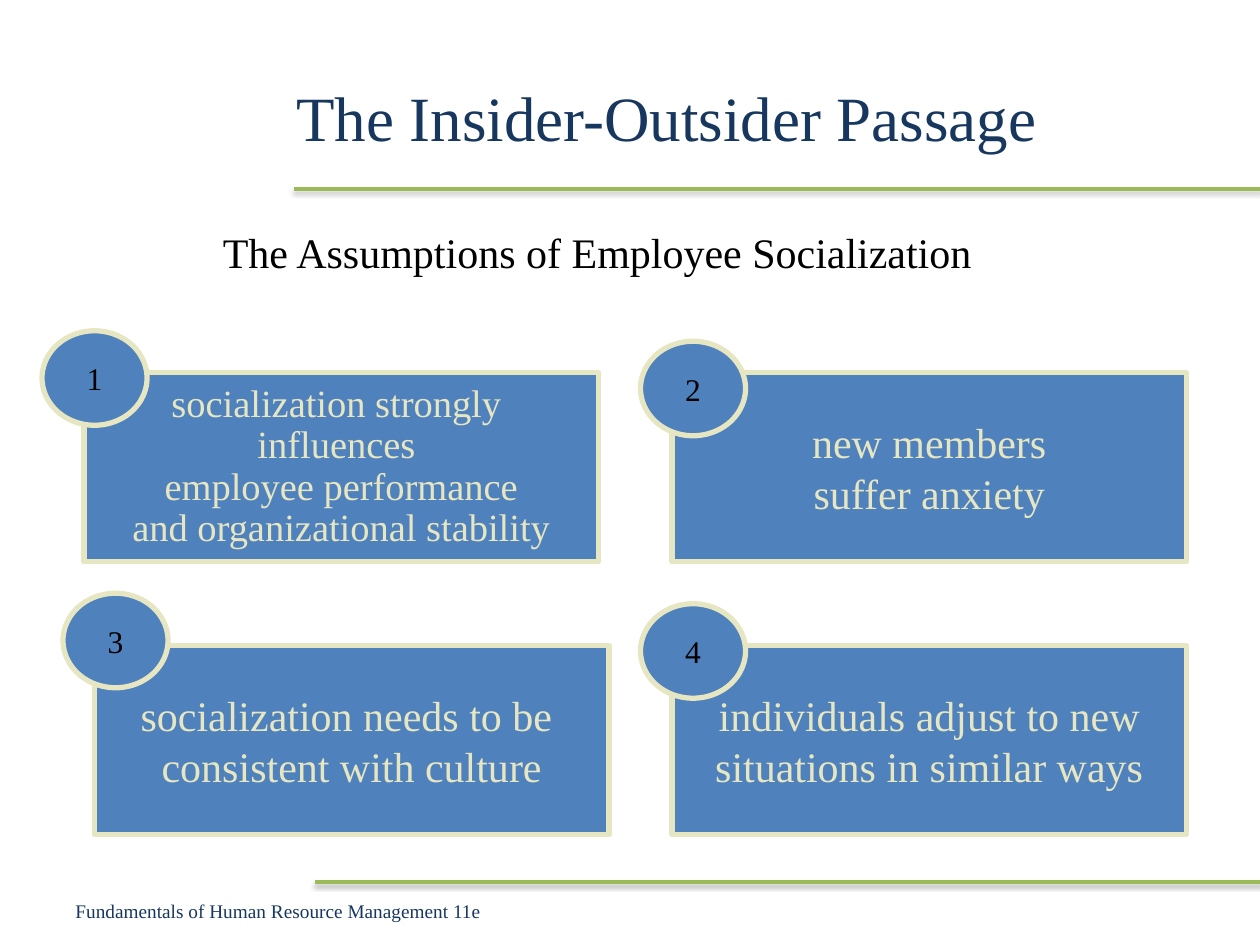
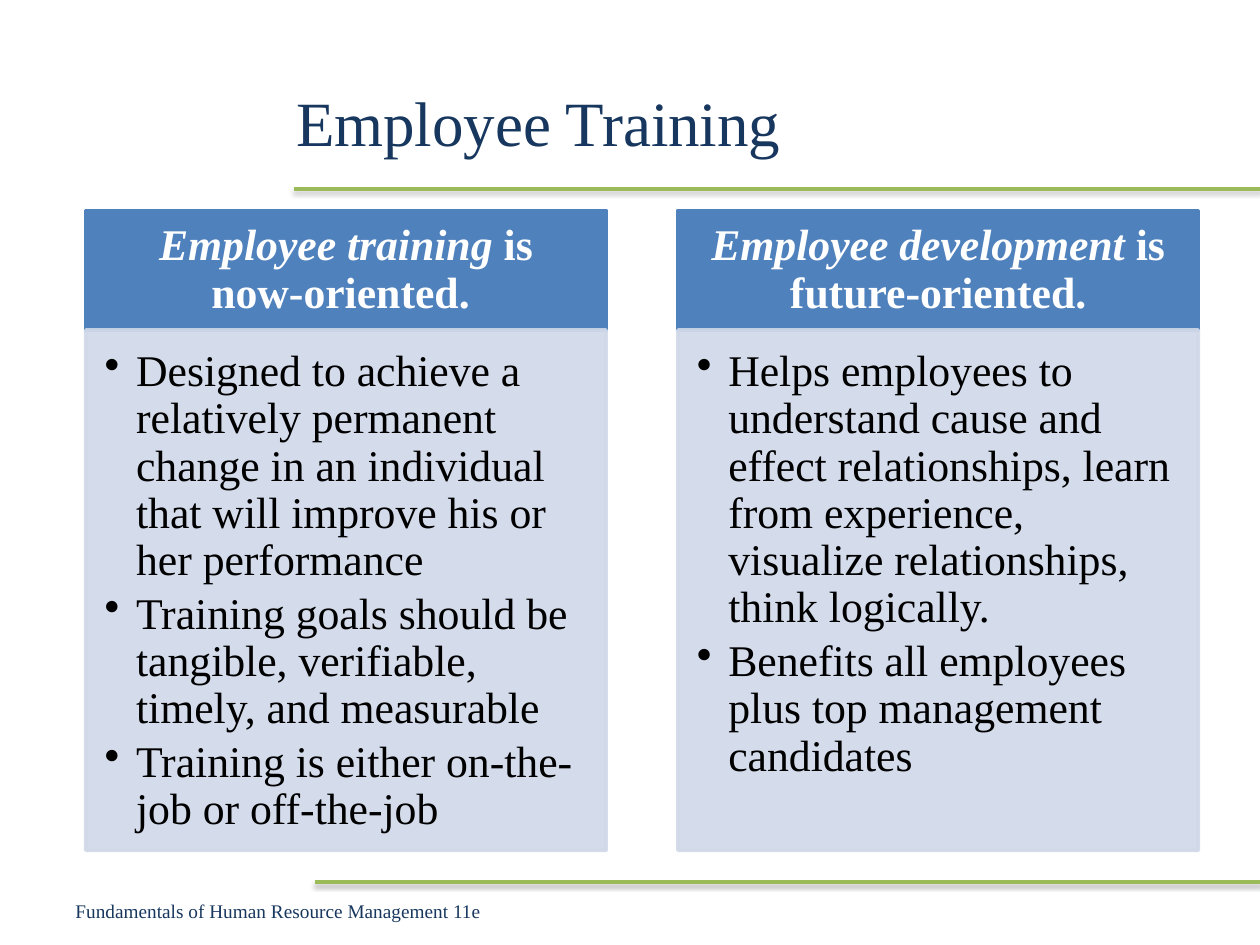
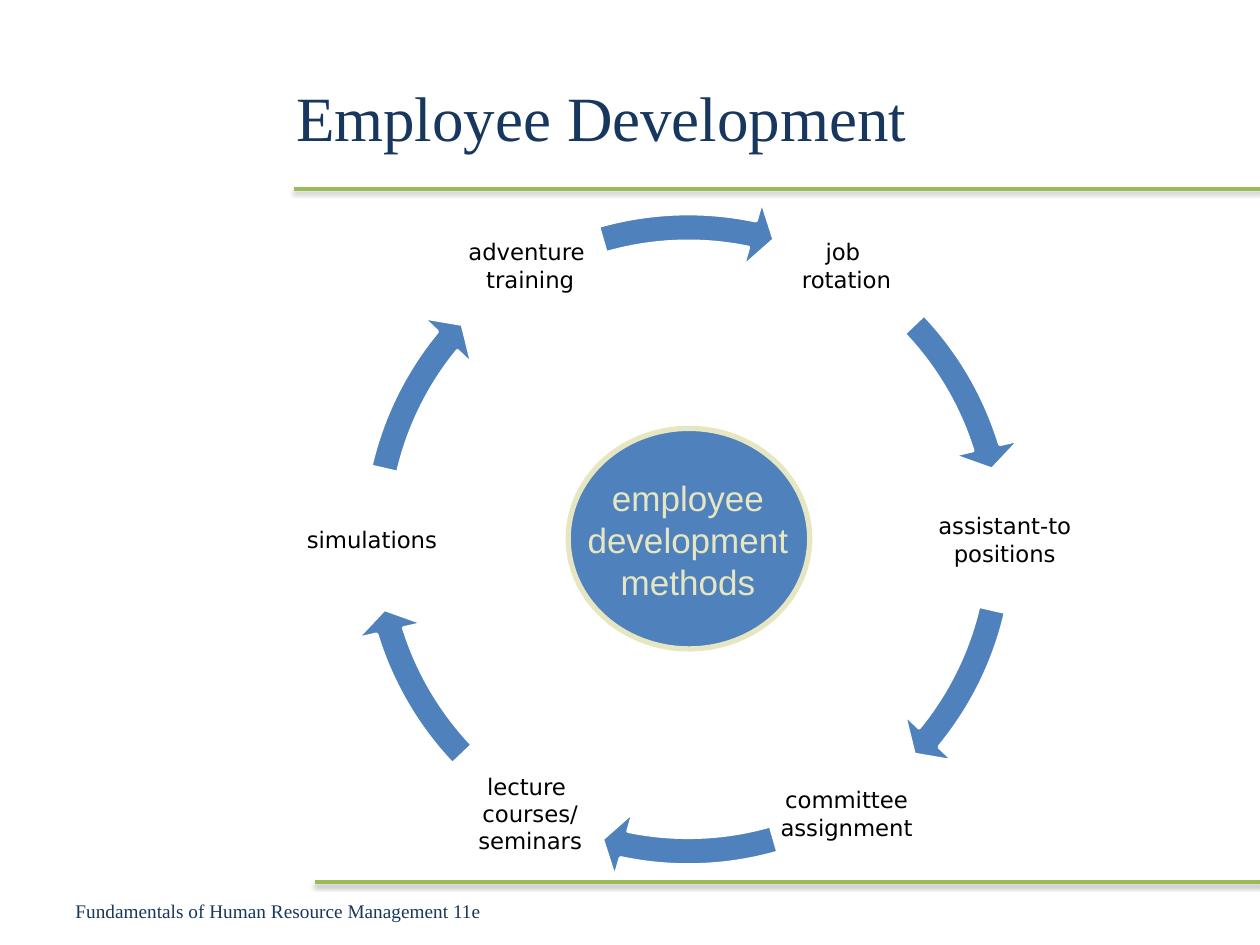
from dataclasses import dataclass
from math import cos, radians, sin
from typing import Any, Sequence

from lxml.etree import SubElement
from pptx import Presentation
from pptx.dml.color import RGBColor
from pptx.enum.shapes import MSO_CONNECTOR, MSO_SHAPE
from pptx.enum.text import MSO_ANCHOR, PP_ALIGN
from pptx.oxml.ns import qn
from pptx.util import Pt

NAVY, GREEN, BLUE, CREAM = "17375E", "9BBB59", "4F81BD", "E6E6C2"
PALE, BLACK, WHITE = "D0D8E8", "000000", "FFFFFF"
SERIF, SANS, LABEL_FONT = "Times New Roman", "Arial", "DejaVu Sans"
FOOTER = "Fundamentals of Human Resource Management 11e"
RULES = ((168, 108), (180, 504))
PAGE_WIDTH, PAGE_HEIGHT = 720, 540


@dataclass(frozen=True)
class Area:
    left: float
    top: float
    width: float
    height: float

    def lengths(self) -> tuple:
        return Pt(self.left), Pt(self.top), Pt(self.width), Pt(self.height)


@dataclass(frozen=True)
class Span:
    text: str
    italic: bool = False


@dataclass(frozen=True)
class Style:
    size: float
    ink: str = BLACK
    font: str = SERIF
    bold: bool = False
    align: Any = PP_ALIGN.CENTER
    anchor: Any = MSO_ANCHOR.MIDDLE
    wrap: bool = True
    spacing: float = 1.0
    after: float = 0
    bullet: str = ""
    insets: tuple = (7.2, 3.6, 7.2, 3.6)


@dataclass(frozen=True)
class Assumption:
    number: str
    lines: tuple
    box: tuple
    badge: tuple
    size: float = 24
    spacing: float = 1.0


@dataclass(frozen=True)
class Column:
    heading: tuple
    points: tuple


ASSUMPTIONS = (
    Assumption("1", ("socialization strongly ", "influences ", "employee performance",
                     "and organizational stability"), (48, 213), (24, 189), 22, 0.9),
    Assumption("2", ("new members", "suffer anxiety"), (384, 213), (366, 195)),
    Assumption("3", ("socialization needs to be ", "consistent with culture"),
               (54, 369), (36, 339)),
    Assumption("4", ("individuals adjust to new", "situations in similar ways"),
               (384, 369), (366, 345)),
)

COLUMNS = (
    Column((Span("Employee training", True), Span(" is now-oriented. ")), (
        "Designed to achieve a relatively permanent change in an individual "
        "that will improve his or her performance",
        "Training goals should be tangible, verifiable, timely, and measurable",
        "Training is either on-the-job or off-the-job",
    )),
    Column((Span("Employee development", True), Span(" is future-oriented.")), (
        "Helps employees to understand cause and effect relationships, learn from "
        "experience, visualize relationships, think logically.",
        "Benefits all employees plus top management candidates",
    )),
)

METHODS = (
    ("job ", "rotation"),
    ("assistant-to", "positions"),
    ("committee", "assignment"),
    ("lecture ", "courses/", "seminars"),
    ("simulations",),
    ("adventure ", "training"),
)
ARROW_SWEEPS = ((316.39, 342.88), (12.95, 39.43), (73.98, 101.84))


def colour(code: str) -> RGBColor:
    return RGBColor.from_string(code)


def set_values(target: Any, values: dict) -> None:
    for name, value in values.items():
        setattr(target, name, value)


def write(box: Any, paragraphs: Sequence, style: Style) -> None:
    frame = box.text_frame
    left, top, right, bottom = style.insets
    set_values(frame, {
        "word_wrap": style.wrap, "vertical_anchor": style.anchor,
        "margin_left": Pt(left), "margin_top": Pt(top),
        "margin_right": Pt(right), "margin_bottom": Pt(bottom),
    })
    for index, content in enumerate(paragraphs):
        para = frame.add_paragraph() if index else frame.paragraphs[0]
        set_values(para, {
            "alignment": style.align, "line_spacing": style.spacing,
            "space_before": Pt(0), "space_after": Pt(style.after),
        })
        if style.bullet:
            properties = para._p.get_or_add_pPr()
            properties.set("marL", str(Pt(18)))
            properties.set("indent", str(Pt(-18)))
            SubElement(properties, qn("a:buChar"), char=style.bullet)
        spans = (Span(content),) if isinstance(content, str) else content
        for span in spans:
            run = para.add_run()
            run.text = span.text
            set_values(run.font, {"name": style.font, "size": Pt(style.size),
                                  "bold": style.bold, "italic": span.italic})
            run.font.color.rgb = colour(style.ink)


def add_figure(page: Any, kind: Any, area: Area, fill: str, line: str, weight: float) -> Any:
    shape = page.shapes.add_shape(kind, *area.lengths())
    shape.shadow.inherit = False
    shape.fill.solid()
    shape.fill.fore_color.rgb = colour(fill)
    shape.line.color.rgb = colour(line)
    shape.line.width = Pt(weight)
    return shape


def add_text(page: Any, area: Area, paragraphs: Sequence, style: Style) -> None:
    write(page.shapes.add_textbox(*area.lengths()), paragraphs, style)


def add_rule(page: Any, left: float, top: float) -> None:
    rule = page.shapes.add_connector(
        MSO_CONNECTOR.STRAIGHT, Pt(left), Pt(top), Pt(PAGE_WIDTH), Pt(top))
    rule.line.color.rgb = colour(GREEN)
    rule.line.width = Pt(2)
    effects = SubElement(rule._element.spPr, qn("a:effectLst"))
    shadow = SubElement(effects, qn("a:outerShdw"), blurRad=str(Pt(3.1)),
                        dist=str(Pt(1.6)), dir="5400000", rotWithShape="0")
    tint = SubElement(shadow, qn("a:srgbClr"), val=BLACK)
    SubElement(tint, qn("a:alpha"), val="38000")


def make_translucent(shape: Any, percent: int) -> None:
    for tint in shape._element.spPr.iter(qn("a:srgbClr")):
        SubElement(tint, qn("a:alpha"), val=str(percent * 1000))


def add_page(deck: Any, title: str, title_top: float = 21.6) -> Any:
    page = deck.slides.add_slide(deck.slide_layouts[5])
    heading = page.shapes.title
    area = Area(162, title_top, 522, 90)
    set_values(heading, dict(zip(("left", "top", "width", "height"), area.lengths())))
    write(heading, (title,), Style(36, NAVY, align=PP_ALIGN.LEFT))
    for left, top in RULES:
        add_rule(page, left, top)
    add_text(page, Area(36, 500.4, 348, 39.6), (FOOTER,),
             Style(11, NAVY, align=PP_ALIGN.LEFT))
    return page


def add_passage_page(deck: Any) -> None:
    page = add_page(deck, "The Insider-Outsider Passage")
    add_text(page, Area(56.2, 123.1, 570.2, 41.8),
             ("The Assumptions of Employee Socialization",), Style(24))
    for item in ASSUMPTIONS:
        box = add_figure(page, MSO_SHAPE.RECTANGLE, Area(*item.box, 294, 108), BLUE, CREAM, 3)
        write(box, item.lines, Style(item.size, CREAM, wrap=False, spacing=item.spacing))
        badge = add_figure(page, MSO_SHAPE.OVAL, Area(*item.badge, 60, 54), BLUE, CREAM, 3)
        write(badge, (item.number,), Style(18, wrap=False))


def add_training_page(deck: Any) -> None:
    page = add_page(deck, "Employee Training", 24.5)
    heading_style = Style(25, WHITE, bold=True, spacing=0.9, insets=(13.7, 7.9, 13.7, 7.9))
    point_style = Style(25, align=PP_ALIGN.LEFT, anchor=MSO_ANCHOR.TOP, spacing=0.9,
                        after=3.75, bullet="•", insets=(10.8, 10.8, 13.7, 15.8))
    for index, column in enumerate(COLUMNS):
        left = 49 + index * 338.4
        header = add_figure(page, MSO_SHAPE.RECTANGLE, Area(left, 120.2, 297.4, 68.4),
                            BLUE, BLUE, 2)
        write(header, (column.heading,), heading_style)
        body = add_figure(page, MSO_SHAPE.RECTANGLE, Area(left, 188.6, 297.4, 297.4),
                          PALE, PALE, 2)
        make_translucent(body, 90)
        write(body, column.points, point_style)


def add_development_page(deck: Any) -> None:
    page = add_page(deck, "Employee Development")
    center_x, center_y, radius, ring, label = 393.3, 308.2, 180.8, 396, 81.4
    label_style = Style(13, font=LABEL_FONT, insets=(1.4, 1.4, 1.4, 1.4))
    ring_area = Area(center_x - ring / 2, center_y - ring / 2, ring, ring)
    for index, lines in enumerate(METHODS):
        angle = radians(60 * index - 60)
        add_text(page, Area(center_x + radius * cos(angle) - label / 2,
                            center_y + radius * sin(angle) - label / 2, label, label),
                 lines, label_style)
        half_turn, sweep = divmod(index, len(ARROW_SWEEPS))
        start, end = ((degrees + 180 * half_turn) % 360 for degrees in ARROW_SWEEPS[sweep])
        arrow = add_figure(page, MSO_SHAPE.CIRCULAR_ARROW, ring_area, BLUE, WHITE, 2)
        for position, value in enumerate((0.04, 2.5, end * 0.6, start * 0.6, 0.05)):
            arrow.adjustments[position] = value
    add_figure(page, MSO_SHAPE.OVAL, Area(324.7, 244.8, 138, 126), BLUE, CREAM, 3)
    add_text(page, Area(318.2, 268.6, 149.8, 79.2), ("employee development methods",),
             Style(20, CREAM, SANS))


def main() -> None:
    deck = Presentation()
    set_values(deck, {"slide_width": Pt(PAGE_WIDTH), "slide_height": Pt(PAGE_HEIGHT)})
    add_passage_page(deck)
    add_training_page(deck)
    add_development_page(deck)
    deck.save("out.pptx")


if __name__ == "__main__":
    main()
